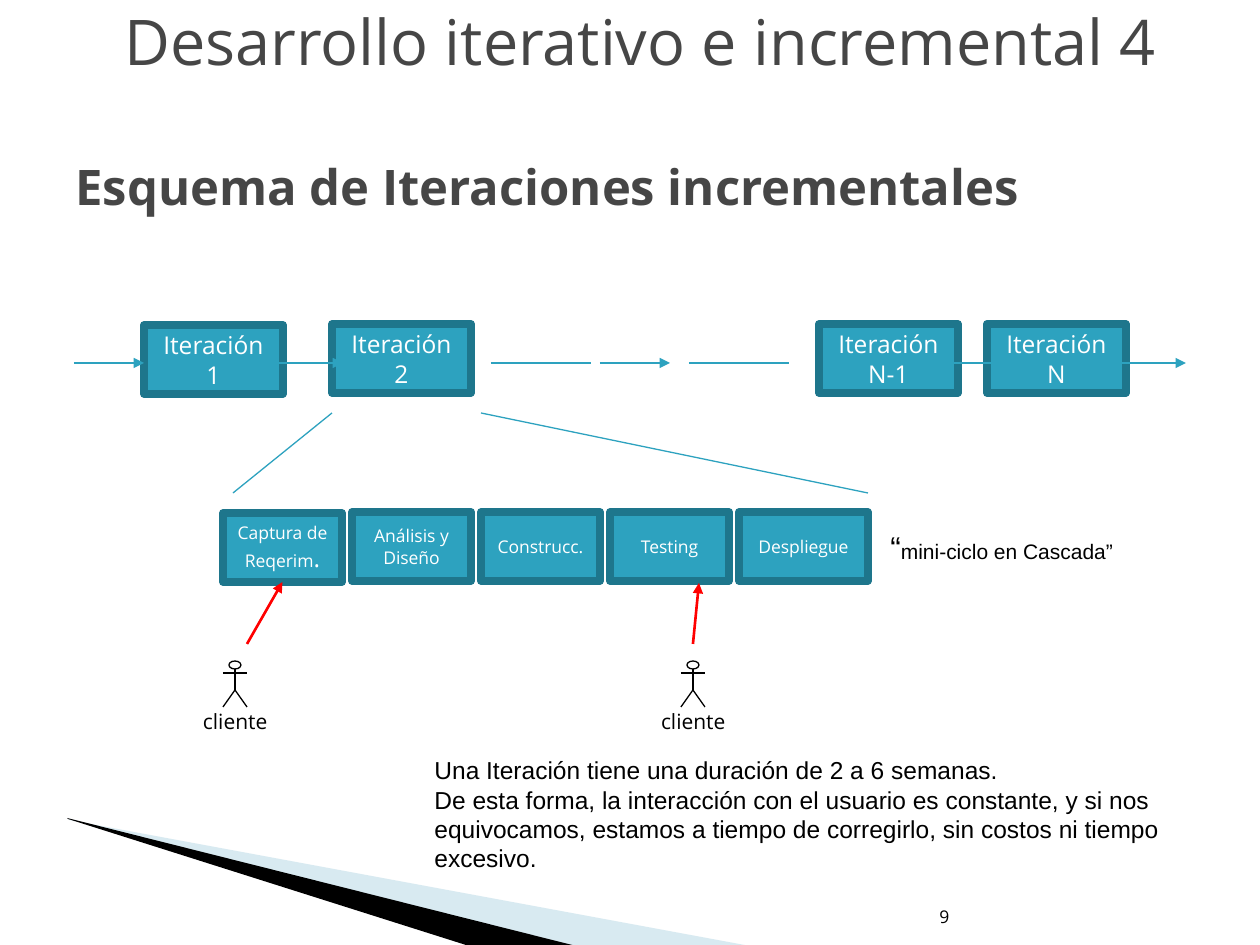
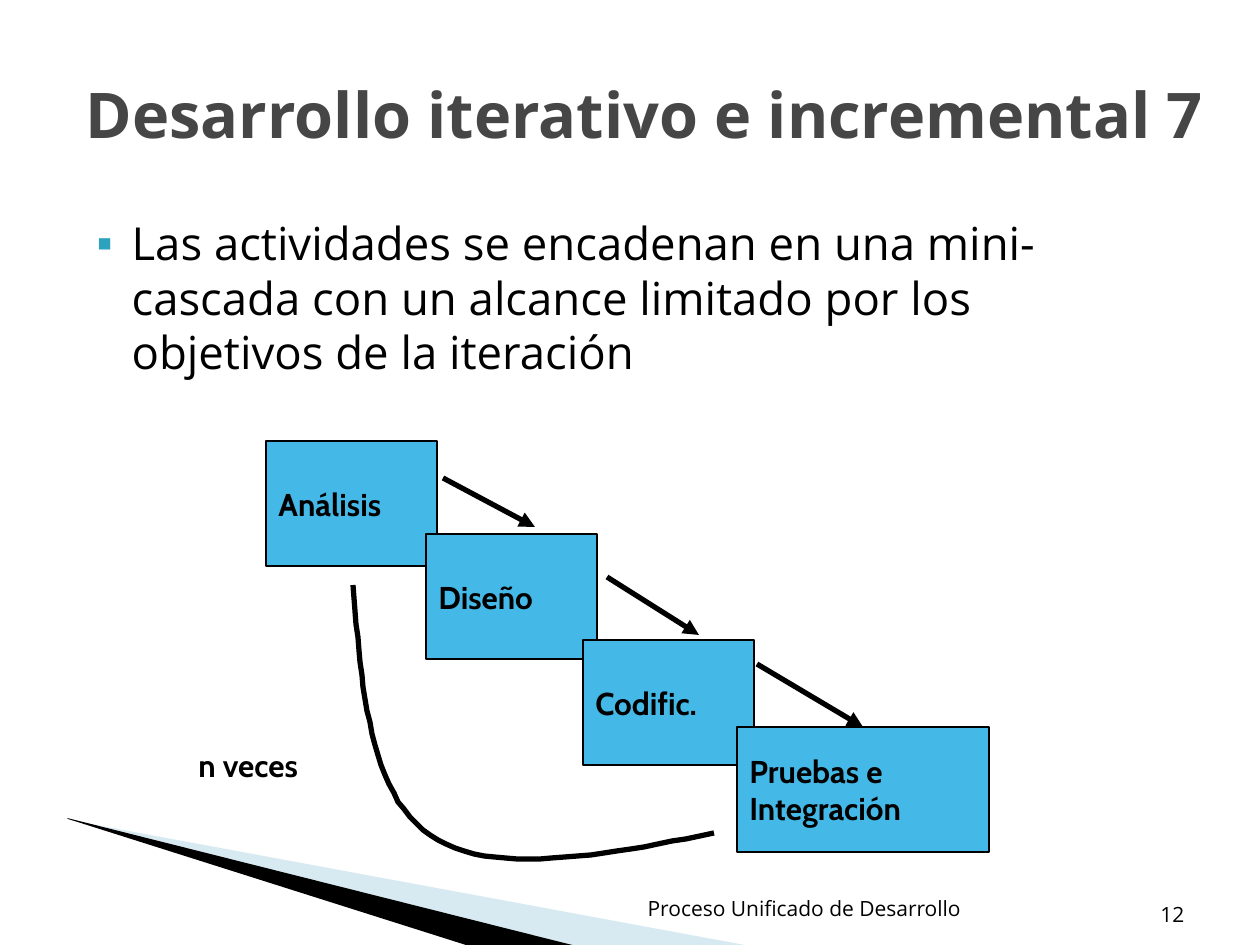
from lxml.etree import SubElement
from pptx import Presentation
from pptx.dml.color import RGBColor
from pptx.enum.shapes import MSO_CONNECTOR, MSO_SHAPE
from pptx.enum.text import MSO_ANCHOR, MSO_AUTO_SIZE, PP_ALIGN
from pptx.oxml.ns import qn
from pptx.util import Pt

PX = 7257  # EMU per px, 126 px to the inch
BODY_FONT, NOTE_FONT, STEP_FONT = "Open Sans", "Arial", "Cabin"
BLACK = RGBColor(0x00, 0x00, 0x00)
WHITE = RGBColor(0xFF, 0xFF, 0xFF)
RED = RGBColor(0xFF, 0x00, 0x00)
TITLE_GREY = RGBColor(0x46, 0x46, 0x46)
TEAL = RGBColor(0x2D, 0xA2, 0xBF)
DARK_TEAL = RGBColor(0x1E, 0x76, 0x8C)
STEP_BLUE = RGBColor(0x44, 0xB9, 0xE8)
PALE_BLUE = RGBColor(0x9F, 0xCB, 0xDC)


def put_text(shape, at, text, size, color=BLACK, font=BODY_FONT, bold=False,
             align=PP_ALIGN.LEFT, anchor=MSO_ANCHOR.TOP, tail=None):
    """Place a shape and fill it; tail is a last run (text, size)."""
    shape.left, shape.top, shape.width, shape.height = [n * PX for n in at]
    frame = shape.text_frame
    frame.text = text
    frame.word_wrap = True
    frame.auto_size = MSO_AUTO_SIZE.NONE
    frame.vertical_anchor = anchor
    if tail:
        frame.paragraphs[-1].add_run().text = tail[0]
    for paragraph in frame.paragraphs:
        paragraph.alignment = align
        paragraph.space_before = Pt(0)
        for run in paragraph.runs:
            run.font.size, run.font.bold = Pt(size), bold
            run.font.name, run.font.color.rgb = font, color
    if tail:
        frame.paragraphs[-1].runs[-1].font.size = Pt(tail[1])
    return frame


def add_line(shapes, ends, color, width, arrow=False):
    line = shapes.add_connector(MSO_CONNECTOR.STRAIGHT, *[n * PX for n in ends])
    line.line.color.rgb, line.line.width = color, Pt(width)
    if arrow:
        SubElement(line.line._get_or_add_ln(), qn("a:tailEnd"), type="triangle")
    SubElement(line._element.spPr, qn("a:effectLst"))
    return line


prs = Presentation()
prs.slide_width, prs.slide_height = 1260 * PX, 945 * PX
scheme = prs.slides.add_slide(prs.slide_layouts[5])
cascade = prs.slides.add_slide(prs.slide_layouts[1])

# Corner wedges, moved to the master so both slides share them
master_tree = prs.slide_master.element.cSld.spTree
for color, corners in (
    (PALE_BLUE, [(69, 820), (750, 946), (575, 946), (69, 819)]),
    (BLACK, [(67, 818), (576, 946), (469, 946), (68, 819)]),
):
    outline = scheme.shapes.build_freeform(*corners[0], scale=PX)
    outline.add_line_segments(corners[1:], close=True)
    wedge = outline.convert_to_shape()
    wedge.shadow.inherit = False
    wedge.fill.solid()
    wedge.fill.fore_color.rgb = color
    wedge.line.fill.background()
    if color == PALE_BLUE:
        tint = wedge._element.spPr.find(".//" + qn("a:srgbClr"))
        SubElement(tint, qn("a:alpha"), val="40000")
    master_tree.append(wedge._element)

# Titles
put_text(scheme.shapes.title, (63, 147, 1134, 78),
         "Esquema de Iteraciones incrementales", 28, TITLE_GREY, bold=True,
         anchor=MSO_ANCHOR.MIDDLE)
put_text(cascade.shapes.title, (72, 37, 1144, 152),
         "Desarrollo iterativo e incremental 7", 36, TITLE_GREY, bold=True,
         align=PP_ALIGN.RIGHT, anchor=MSO_ANCHOR.MIDDLE)

# Free-standing texts: slide, place, text, size and what differs
for slide, at, text, size, style in (
    (scheme, (54, -4, 1115, 90), "Desarrollo iterativo e incremental 4", 36,
     dict(color=TITLE_GREY, align=PP_ALIGN.RIGHT)),
    (scheme, (878, 522, 260, 50), "“", 18,
     dict(font=NOTE_FONT, tail=("mini-ciclo en Cascada”", 12))),
    (scheme, (422, 749, 767, 131),
     "Una Iteración tiene una duración de 2 a 6 semanas.\n"
     "De esta forma, la interacción con el usuario es constante, y si nos "
     "equivocamos, estamos a tiempo de corregirlo, sin costos ni tiempo "
     "excesivo.", 14, dict(font=NOTE_FONT)),
    (scheme, (927, 883, 140, 50), "9", 10, dict(anchor=MSO_ANCHOR.BOTTOM)),
    (cascade, (186, 740, 234, 63), "n veces", 18,
     dict(font=STEP_FONT, bold=True)),
    (cascade, (603, 883, 403, 50), "Proceso Unificado de Desarrollo", 12,
     dict(align=PP_ALIGN.CENTER, anchor=MSO_ANCHOR.MIDDLE)),
    (cascade, (1057, 879, 140, 54), "12", 12,
     dict(align=PP_ALIGN.RIGHT, anchor=MSO_ANCHOR.BOTTOM)),
):
    put_text(slide.shapes.add_textbox(0, 0, PX, PX), at, text, size, **style)

# Boxes of both diagrams
iteration_style = dict(color=WHITE, align=PP_ALIGN.CENTER)
step_style = dict(font=STEP_FONT, bold=True)
boxes = {}
for slide, at, text, size, style in (
    (scheme, (144, 325, 139, 69), "Iteración\v1", 14, iteration_style),
    (scheme, (332, 324, 139, 69), "Iteración\v2", 14, iteration_style),
    (scheme, (819, 324, 139, 69), "Iteración\vN-1", 14, iteration_style),
    (scheme, (987, 324, 139, 69), "Iteración\vN", 14, iteration_style),
    (scheme, (223, 513, 119, 69), "Captura de Reqerim", 10,
     dict(iteration_style, tail=(".", 14))),
    (scheme, (352, 512, 119, 69), "Análisis y\nDiseño", 10, iteration_style),
    (scheme, (481, 512, 119, 69), "Construcc.", 10, iteration_style),
    (scheme, (610, 512, 119, 69), "Testing", 10, iteration_style),
    (scheme, (739, 512, 129, 69), "Despliegue", 10, iteration_style),
    (cascade, (266, 441, 171, 125), "Análisis", 18, step_style),
    (cascade, (426, 534, 171, 125), "Diseño", 18, step_style),
    (cascade, (583, 640, 171, 125), "Codific.", 18, step_style),
    (cascade, (737, 727, 252, 125), "Pruebas e\nIntegración", 18, step_style),
):
    box = scheme if slide is scheme else cascade
    box = box.shapes.add_shape(MSO_SHAPE.RECTANGLE, 0, 0, PX, PX)
    box.shadow.inherit = False
    box.fill.solid()
    box.fill.fore_color.rgb = TEAL if slide is scheme else STEP_BLUE
    box.line.color.rgb = DARK_TEAL if slide is scheme else BLACK
    box.line.width = Pt(4.33 if slide is scheme else 1)
    put_text(box, at, text, size, anchor=MSO_ANCHOR.MIDDLE, **style)
    boxes[text] = box

# Iteration timeline and the zoom into iteration 2
for start in (74, 273, 600, 938, 1116):
    add_line(scheme.shapes, (start, 363, start + 70, 363), TEAL, 0.75, arrow=True)
for start in (491, 689):
    add_line(scheme.shapes, (start, 363, start + 100, 363), TEAL, 0.75)
add_line(scheme.shapes, (332, 413, 233, 493), TEAL, 0.75)
add_line(scheme.shapes, (481, 413, 868, 493), TEAL, 0.75)

# Clients
for middle in (235, 693):
    client = scheme.shapes.add_group_shape().shapes
    head = client.add_shape(MSO_SHAPE.OVAL, (middle - 6) * PX, 661 * PX,
                            12 * PX, 8 * PX)
    head.shadow.inherit = False
    head.fill.solid()
    head.fill.fore_color.rgb = WHITE
    head.line.color.rgb, head.line.width = BLACK, Pt(0.75)
    for x1, y1, x2, y2 in ((-12, 673, 12, 673), (0, 669, 0, 690),
                           (0, 690, -12, 707), (0, 690, 12, 707)):
        add_line(client, (middle + x1, y1, middle + x2, y2), BLACK, 0.75)
    label = put_text(client.add_textbox(0, 0, PX, PX),
                     (middle - 32, 709, 68, 25), "cliente", 12)
    label.margin_left = label.margin_right = 0
    label.margin_top = label.margin_bottom = 0
    label.word_wrap = False
request = add_line(scheme.shapes, (247, 644, 282, 582), RED, 1.5, arrow=True)
request.end_connect(boxes["Captura de Reqerim"], 2)
add_line(scheme.shapes, (693, 644, 699, 583), RED, 1.5, arrow=True)

# Bulleted statement
statement = put_text(
    cascade.placeholders[1], (68, 209, 1071, 567),
    "Las actividades se encadenan en una mini-cascada con un alcance limitado "
    "por los objetivos de la iteración", 26).paragraphs[0]
bullet = statement._p.get_or_add_pPr()
bullet.set("marL", str(51 * PX))
bullet.set("indent", str(-35 * PX))
SubElement(SubElement(bullet, qn("a:buClr")), qn("a:srgbClr"), val=str(TEAL))
SubElement(bullet, qn("a:buChar"), char="▪")

# Steps down the cascade
for ends in ((443, 478, 535, 527), (607, 577, 699, 635), (757, 664, 863, 727)):
    step = add_line(cascade.shapes, ends, BLACK, 3, arrow=True)
step.end_connect(boxes["Pruebas e\nIntegración"], 0)

# Return curve: two Bézier arcs as short segments
arcs = (((714, 833), (602, 856), (490, 877), (430, 835)),
        ((430, 835), (369, 794), (362, 689), (353, 585)))
PARTS = 24
curve_points = []
for arc in arcs:
    for part in range(1, PARTS + 1):
        t = part / PARTS
        weights = ((1 - t) ** 3, 3 * t * (1 - t) ** 2, 3 * t * t * (1 - t), t ** 3)
        curve_points.append([sum(w * point[axis] for w, point in zip(weights, arc))
                             for axis in (0, 1)])
outline = cascade.shapes.build_freeform(*arcs[0][0], scale=PX)
outline.add_line_segments(curve_points, close=False)
repeat = outline.convert_to_shape()
repeat.shadow.inherit = False
repeat.fill.background()
repeat.line.color.rgb, repeat.line.width = BLACK, Pt(3)

prs.save("out.pptx")
